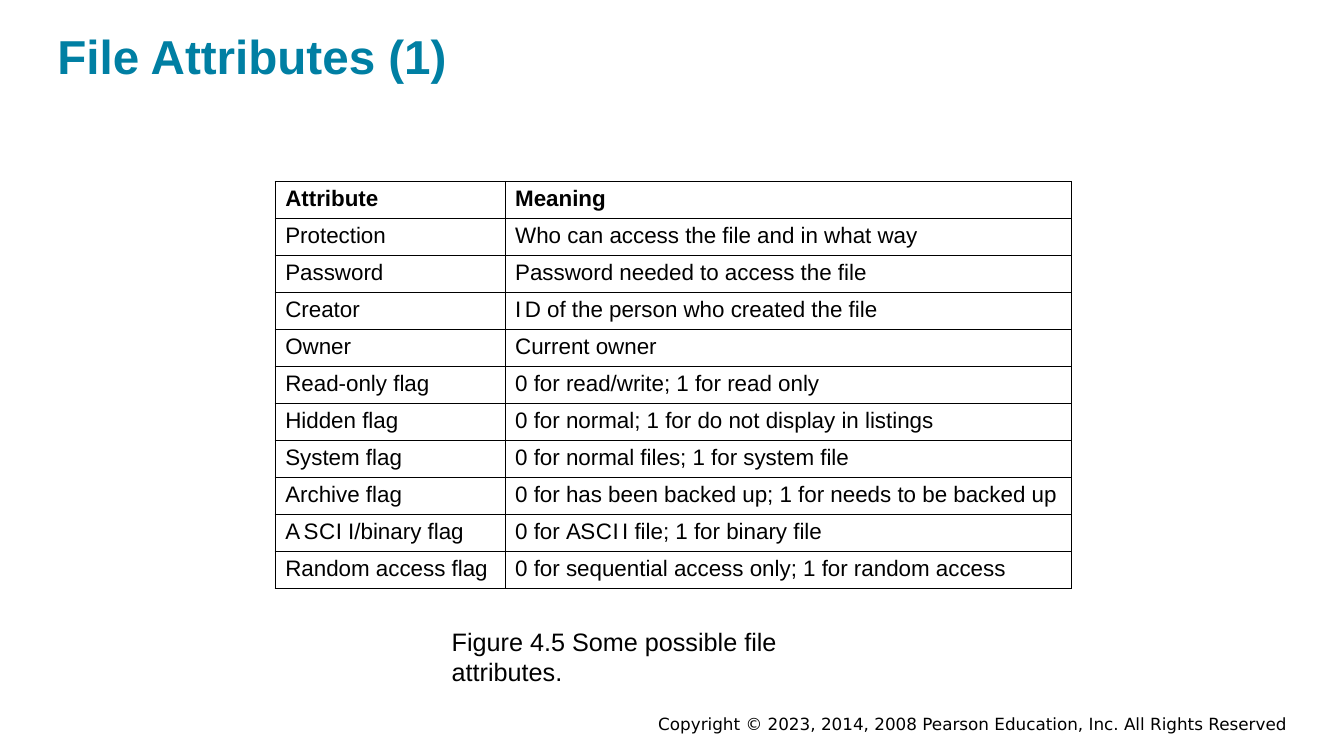
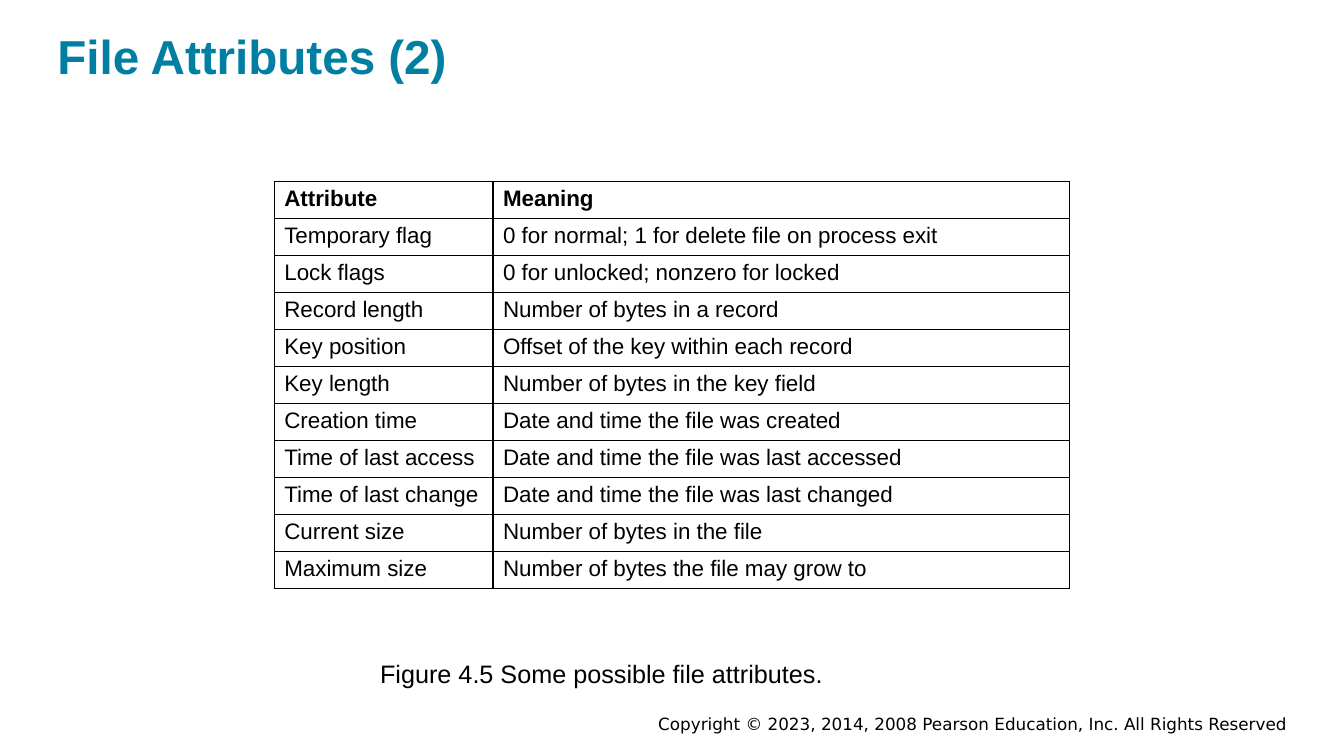
from dataclasses import dataclass

from pptx import Presentation
from pptx.dml.color import RGBColor
from pptx.enum.text import MSO_ANCHOR, MSO_AUTO_SIZE, PP_ALIGN
from pptx.oxml import parse_xml
from pptx.oxml.ns import nsdecls
from pptx.util import Emu, Pt

# Lengths are px, 100 to the inch
PX = 9144
MIDDLE = MSO_ANCHOR.MIDDLE
GROW = MSO_AUTO_SIZE.SHAPE_TO_FIT_TEXT
LEFT, RIGHT = PP_ALIGN.LEFT, PP_ALIGN.RIGHT

BLACK, TEAL, WHITE = "000000", "007FA3", "FFFFFF"
SANS, FOOTER_FONT = "Arial", "DejaVu Sans"
COPYRIGHT = "Copyright © 2023, 2014, 2008 Pearson Education, Inc. All Rights Reserved"
CAPTION = "Figure 4.5 Some possible file attributes."
HEADER = ("Attribute", "Meaning")
TABLE_TOP, TABLE_HEIGHT = 180, 403
BORDER_PT = 1
TIGHT = "|"  # encloses letters set with tight spacing
TIGHT_SPACING = "-200"


@dataclass(frozen=True)
class Box:
    x: int
    y: int
    w: int
    h: int


@dataclass(frozen=True)
class TextStyle:
    size: int
    color: str = BLACK
    font: str = SANS
    bold: bool = False
    align: PP_ALIGN = LEFT


@dataclass(frozen=True)
class AttributeSlide:
    title: str
    table_x: int
    columns: tuple[int, int]
    caption: Box
    rows: tuple[tuple[str, str], ...]


TITLE_BOX = Box(57, 25, 1220, 61)
FOOTER_BOX = Box(556, 706, 721, 24)
TITLE_STYLE = TextStyle(34, TEAL, bold=True)
FOOTER_STYLE = TextStyle(12, font=FOOTER_FONT, align=RIGHT)
CAPTION_STYLE = TextStyle(18)
HEADER_STYLE = TextStyle(16, bold=True)
CELL_STYLE = TextStyle(16)

SLIDES = (
    AttributeSlide("File Attributes (1)", 273, (228, 562), Box(448, 634, 437, 34), (
        ("Protection", "Who can access the file and in what way"),
        ("Password", "Password needed to access the file"),
        ("Creator", "|I |D of the person who created the file"),
        ("Owner", "Current owner"),
        ("Read-only flag", "0 for read/write; 1 for read only"),
        ("Hidden flag", "0 for normal; 1 for do not display in listings"),
        ("System flag", "0 for normal files; 1 for system file"),
        ("Archive flag", "0 for has been backed up; 1 for needs to be backed up"),
        ("A| S C I| I/binary flag", "0 for |A S C I |I file; 1 for binary file"),
        ("Random access flag", "0 for sequential access only; 1 for random access"),
    )),
    AttributeSlide("File Attributes (2)", 272, (217, 572), Box(377, 651, 581, 34), (
        ("Temporary flag", "0 for normal; 1 for delete file on process exit"),
        ("Lock flags", "0 for unlocked; nonzero for locked"),
        ("Record length", "Number of bytes in a record"),
        ("Key position", "Offset of the key within each record"),
        ("Key length", "Number of bytes in the key field"),
        ("Creation time", "Date and time the file was created"),
        ("Time of last access", "Date and time the file was last accessed"),
        ("Time of last change", "Date and time the file was last changed"),
        ("Current size", "Number of bytes in the file"),
        ("Maximum size", "Number of bytes the file may grow to"),
    )),
)


def px(n: int) -> Emu:
    return Emu(n * PX)


def rgb(color: str) -> RGBColor:
    return RGBColor.from_string(color)


# Text
def style_paragraph(p, style: TextStyle) -> None:
    p.alignment = style.align
    p.space_before = Pt(0)
    for r in p.runs:
        r.font.size = Pt(style.size)
        r.font.name = style.font
        r.font.bold = style.bold
        r.font.color.rgb = rgb(style.color)


def fill_text(sp, box: Box, text: str, style: TextStyle) -> None:
    sp.left, sp.top, sp.width, sp.height = map(px, (box.x, box.y, box.w, box.h))
    tf = sp.text_frame
    tf.text = text
    tf.word_wrap = True
    tf.auto_size = GROW
    tf.vertical_anchor = MIDDLE
    tf.margin_left = tf.margin_right = 0
    tf.margin_top = tf.margin_bottom = px(2)
    style_paragraph(tf.paragraphs[0], style)


def remove_bullet(p) -> None:
    pPr = p._p.get_or_add_pPr()
    pPr.set("marL", "0")
    pPr.set("indent", "0")
    pPr.append(parse_xml(f"<a:buNone {nsdecls('a')}/>"))


# Table
def fill_cell(cell, text: str, style: TextStyle) -> None:
    p = cell.text_frame.paragraphs[0]
    for i, part in enumerate(text.split(TIGHT)):
        if part:
            r = p.add_run()
            r.text = part
            if i % 2:
                r._r.get_or_add_rPr().set("spc", TIGHT_SPACING)
    style_paragraph(p, style)

    tcPr = cell._tc.get_or_add_tcPr()
    for side in "LRTB":
        tcPr.append(parse_xml(
            f'<a:ln{side} {nsdecls("a")} w="{Pt(BORDER_PT)}"><a:solidFill>'
            f'<a:srgbClr val="{BLACK}"/></a:solidFill></a:ln{side}>'))
    cell.fill.background()


def add_attribute_table(slide, content: AttributeSlide) -> None:
    rows = (HEADER, *content.rows)
    table = slide.shapes.add_table(
        len(rows), len(HEADER), px(content.table_x), px(TABLE_TOP),
        px(sum(content.columns)), px(TABLE_HEIGHT)).table
    table.first_row = table.horz_banding = False
    for column, width in zip(table.columns, content.columns):
        column.width = px(width)
    for i, row in enumerate(rows):
        for j, text in enumerate(row):
            fill_cell(table.cell(i, j), text, CELL_STYLE if i else HEADER_STYLE)


# Slides
def add_attribute_slide(prs, layout, content: AttributeSlide):
    slide = prs.slides.add_slide(layout)
    fill_text(slide.shapes.title, TITLE_BOX, content.title, TITLE_STYLE)
    caption = slide.placeholders[1]
    fill_text(caption, content.caption, CAPTION, CAPTION_STYLE)
    remove_bullet(caption.text_frame.paragraphs[0])
    add_attribute_table(slide, content)
    return slide


def set_layout_footer(layout, slide) -> None:
    """Replace the layout's footer fields with the shared copyright line."""
    for sp in list(layout.placeholders):
        if sp.placeholder_format.idx >= 10:
            sp.element.getparent().remove(sp.element)
    sp = slide.shapes.add_textbox(0, 0, 0, 0)
    fill_text(sp, FOOTER_BOX, COPYRIGHT, FOOTER_STYLE)
    layout.shapes.element.append(sp.element)


def main() -> None:
    prs = Presentation()
    prs.slide_width, prs.slide_height = px(1333), px(750)
    background = prs.slide_master.background.fill
    background.solid()
    background.fore_color.rgb = rgb(WHITE)
    layout = prs.slide_layouts[1]
    slides = [add_attribute_slide(prs, layout, content) for content in SLIDES]
    set_layout_footer(layout, slides[0])
    prs.save("out.pptx")


if __name__ == "__main__":
    main()
